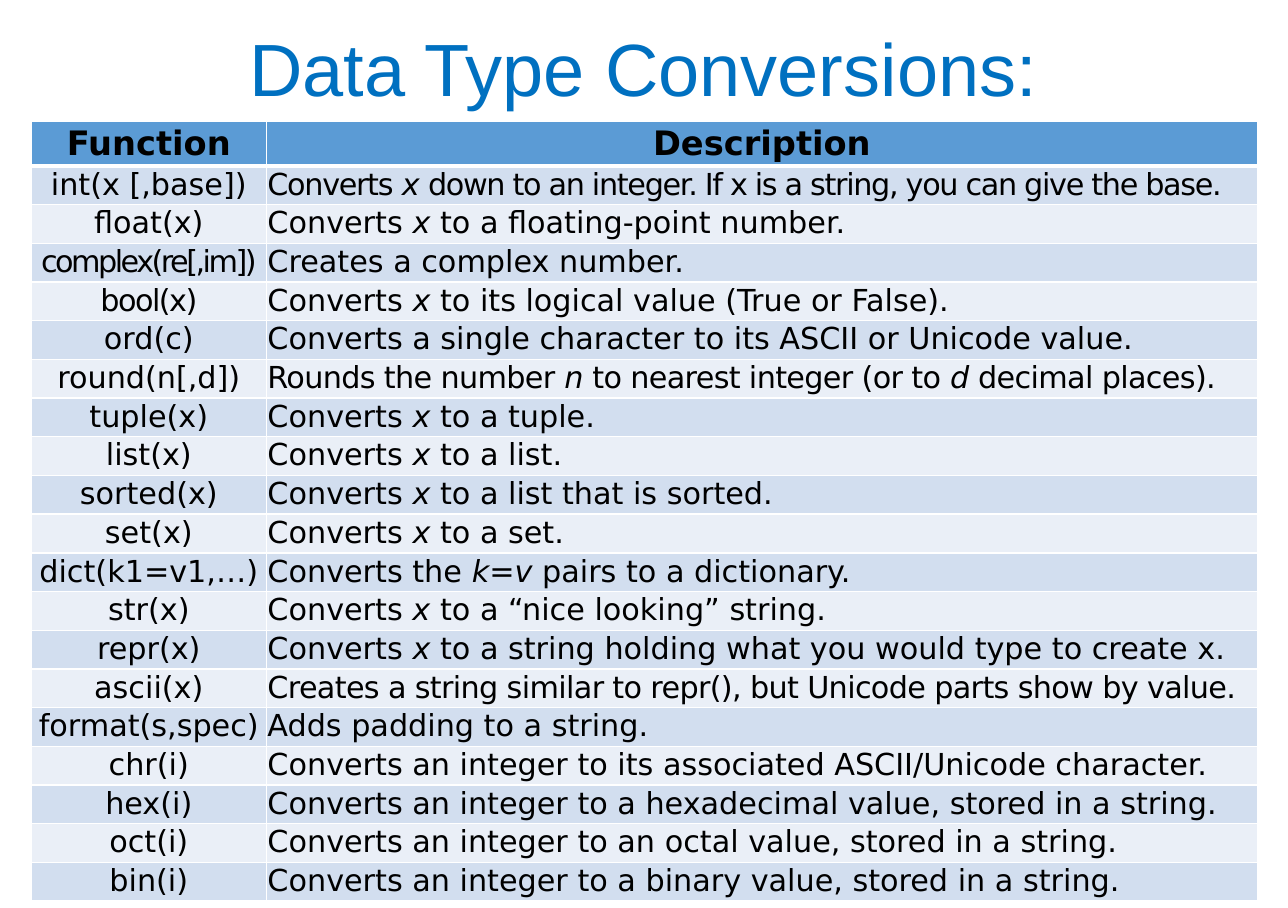
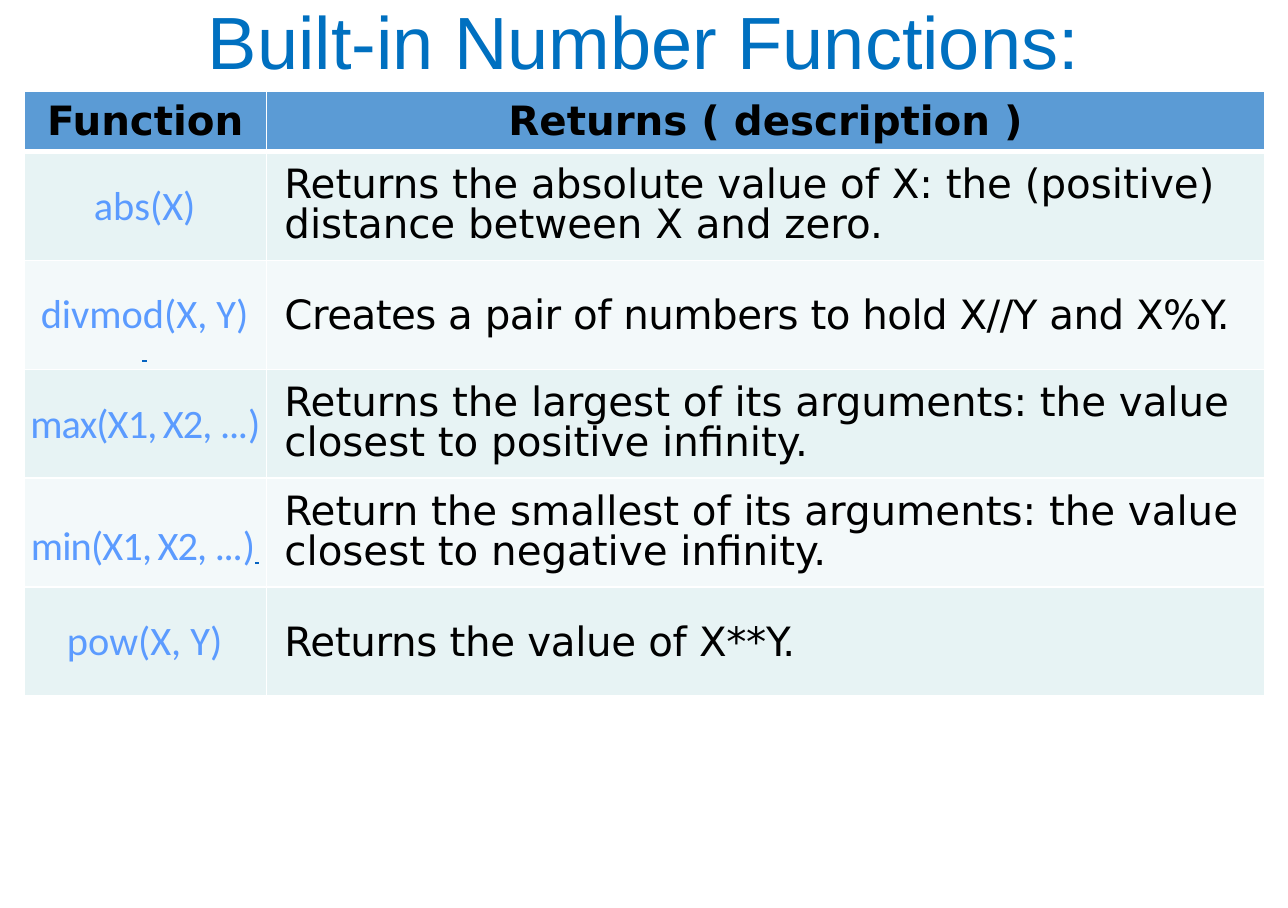
from lxml.etree import SubElement
from pptx import Presentation
from pptx.dml.color import RGBColor
from pptx.enum.text import MSO_ANCHOR, PP_ALIGN
from pptx.oxml.ns import qn
from pptx.util import Inches, Pt

HUES = {
    "title": "0070C0", "head": "5B9BD5", "text": "000000", "edge": "FFFFFF",
    "dark": "D2DEEF", "light": "EAEFF7",
    "mint": "E7F3F4", "pale": "F3F9FA", "name": "5B9BFF", "mark": "0563C1",
}
SANS = "DejaVu Sans"

# Function, description, letter spacing of each; bars enclose italics
TYPES = [
    ("int(x [,base])", "Converts |x |down to an integer. If x is a string, you can give the base.", 0, -0.8),
    ("float(x)", "Converts |x| to a floating-point number.", 0, 0),
    ("complex(re[,im])", "Creates a complex number.", -1.5, 0),
    ("bool(x)", "Converts |x |to its logical value (True or False).", -0.9, 0),
    ("ord(c)", "Converts a single character to its ASCII or Unicode value.", 0, 0),
    ("round(n[,d])", "Rounds the number |n| to nearest integer (or to |d| decimal places).", 0, -0.4),
    ("tuple(x)", "Converts |x| to a tuple.", 0, 0),
    ("list(x)", "Converts |x |to a list.", 0, 0),
    ("sorted(x)", "Converts |x| to a list that is sorted.", 0, 0),
    ("set(x)", "Converts |x| to a set.", 0, 0),
    ("dict(k1=v1,…)", "Converts the |k=v| pairs to a dictionary.", 0, 0),
    ("str(x)", "Converts| x| to a “nice looking” string.", 0, 0),
    ("repr(x)", "Converts |x| to a string holding what you would type to create x.", 0, 0),
    ("ascii(x)", "Creates a string similar to repr(), but Unicode parts show by value.", 0, -0.4),
    ("format(s,spec)", "Adds padding to a string.", 0, 0),
    ("chr(i)", "Converts an integer to its associated ASCII/Unicode character.", 0, 0),
    ("hex(i)", "Converts an integer to a hexadecimal value, stored in a string.", 0, 0),
    ("oct(i)", "Converts an integer to an octal value, stored in a string.", 0, 0),
    ("bin(i)", "Converts an integer to a binary value, stored in a string.", 0, 0),
]

# Function, description, description spacing, line spacing
MATHS = [
    ("abs(X)", "Returns the absolute value of X: the (positive) distance between X and zero.", 0, 0.85),
    ("divmod(X, Y)", "Creates a pair of numbers to hold X//Y and X%Y.", -0.3, 1),
    ("max", "Returns the largest of its arguments: the value closest to positive infinity.", 0, 0.85),
    ("min", "Return the smallest of its arguments: the value closest to negative infinity.", 0, 0.85),
    ("pow(X, Y)", "Returns the value of X**Y.", -0.2, 1),
]


def hue(key):
    return RGBColor.from_string(HUES[key])


class Deck:
    def __init__(self):
        self.prs = Presentation()
        self.prs.slide_width, self.prs.slide_height = Inches(10.64), Inches(7.5)

    def page(self):
        self.slide = self.prs.slides.add_slide(self.prs.slide_layouts[6])

    def style(self, par, face, size, color, align, bold=False):
        par.alignment = align
        font = par.font
        font.name, font.size, font.bold = face, Pt(size), bold
        font.color.rgb = hue(color)

    def run(self, par, text, gap=0, size=None):
        run = par.add_run()
        run.text = text
        if gap:
            run._r.get_or_add_rPr().set("spc", str(round(gap * 100)))
        if size:
            run.font.size = Pt(size)
        return run

    def mark(self, par):
        font = self.run(par, " ", size=12).font
        font.underline = True
        font.color.rgb = hue("mark")

    def title(self, text, box):
        frame = self.slide.shapes.add_textbox(*map(Inches, box)).text_frame
        frame.word_wrap = True
        frame.vertical_anchor = MSO_ANCHOR.MIDDLE
        par = frame.paragraphs[0]
        self.style(par, "Arial", 44, "title", PP_ALIGN.CENTER)
        par.line_spacing = 0.9
        self.run(par, text)

    def table(self, at, cols, count, head, row, names, size):
        """Add a table with a header row and return its grid."""
        box = (*at, sum(cols), head + count * row)
        grid = self.slide.shapes.add_table(count + 1, len(cols), *map(Inches, box)).table
        grid.first_row = grid.horz_banding = False
        for col, width in zip(grid.columns, cols):
            col.width = Inches(width)
        for i, line in enumerate(grid.rows):
            line.height = Inches(row if i else head)
        for i, name in enumerate(names):
            par = self.cell(grid, 0, i, "head")
            self.style(par, SANS, size, "text", PP_ALIGN.CENTER, True)
            self.run(par, name)
        return grid

    def cell(self, grid, row, col, fill, left=0.01, anchor=MSO_ANCHOR.MIDDLE):
        """Dress one cell and return its first paragraph."""
        cell = grid.cell(row, col)
        cell.margin_left, cell.margin_right = Inches(left), Inches(0.01)
        cell.margin_top, cell.margin_bottom = Inches(0.01), 0
        cell.vertical_anchor = anchor
        # Borders come before the fill in the cell properties
        props = cell._tc.get_or_add_tcPr()
        for side in "LRTB":
            thick = (row, side) in ((0, "B"), (1, "T"))
            line = SubElement(props, qn("a:ln" + side), w=str(Pt(3 if thick else 1)))
            solid = SubElement(line, qn("a:solidFill"))
            SubElement(solid, qn("a:srgbClr"), val=HUES["edge"])
        cell.fill.solid()
        cell.fill.fore_color.rgb = hue(fill)
        return cell.text_frame.paragraphs[0]


def types(deck):
    deck.page()
    grid = deck.table((0.26, 1), (1.94, 8.19), len(TYPES), 0.37, 0.32,
                      ("Function", "Description"), 20)
    for i, (name, about, *gaps) in enumerate(TYPES, 1):
        fill = "dark" if i % 2 else "light"
        aligns = (PP_ALIGN.CENTER, PP_ALIGN.JUSTIFY)
        for col, text in enumerate((name, about)):
            par = deck.cell(grid, i, col, fill, anchor=MSO_ANCHOR.TOP)
            deck.style(par, SANS, 18, "text", aligns[col])
            for k, part in enumerate(text.split("|")):
                run = deck.run(par, part, gaps[col])
                if k % 2:
                    run.font.italic = True
    deck.title("Data Type Conversions:", (0.94, 0.12, 8.75, 0.96))


def maths(deck):
    deck.page()
    grid = deck.table((0.2, 0.75), (2, 8.25), len(MATHS), 0.5, 0.9,
                      ("Function", "Returns ( description )"), 24)
    for i, (name, about, gap, lead) in enumerate(MATHS, 1):
        fill = "mint" if i % 2 else "pale"
        # Function name
        par = deck.cell(grid, i, 0, fill, left=0)
        cell = grid.cell(i, 0)
        deck.style(par, "Calibri", 24, "name", PP_ALIGN.CENTER)
        if name in ("max", "min"):
            cell.margin_right = 0
            for text, size, tight in ((name + "(X1,", 24, -0.5), (" ", 14, -0.5), ("X2,", 24, -0.5),
                                      (" ", 20, -0.5), ("...", 24, -0.8), (")", 24, -0.5)):
                deck.run(par, text, tight, size)
        else:
            deck.run(par, name)
        # Small underlined marks
        if name == "min":
            cell.margin_top = Inches(0.23)
            deck.mark(par)
        elif name.startswith("divmod"):
            cell.margin_top = Inches(0.2)
            tail = cell.text_frame.add_paragraph()
            deck.style(tail, "Calibri", 12, "mark", PP_ALIGN.CENTER)
            deck.mark(tail)
        # Description
        par = deck.cell(grid, i, 1, fill, left=0.15)
        deck.style(par, SANS, 24, "text", PP_ALIGN.LEFT)
        par.line_spacing = float(lead)
        deck.run(par, about, gap)
    deck.title("Built-in Number Functions:", (0.07, 0, 10.5, 0.75))


def main():
    deck = Deck()
    types(deck)
    maths(deck)
    deck.prs.save("out.pptx")


if __name__ == "__main__":
    main()
